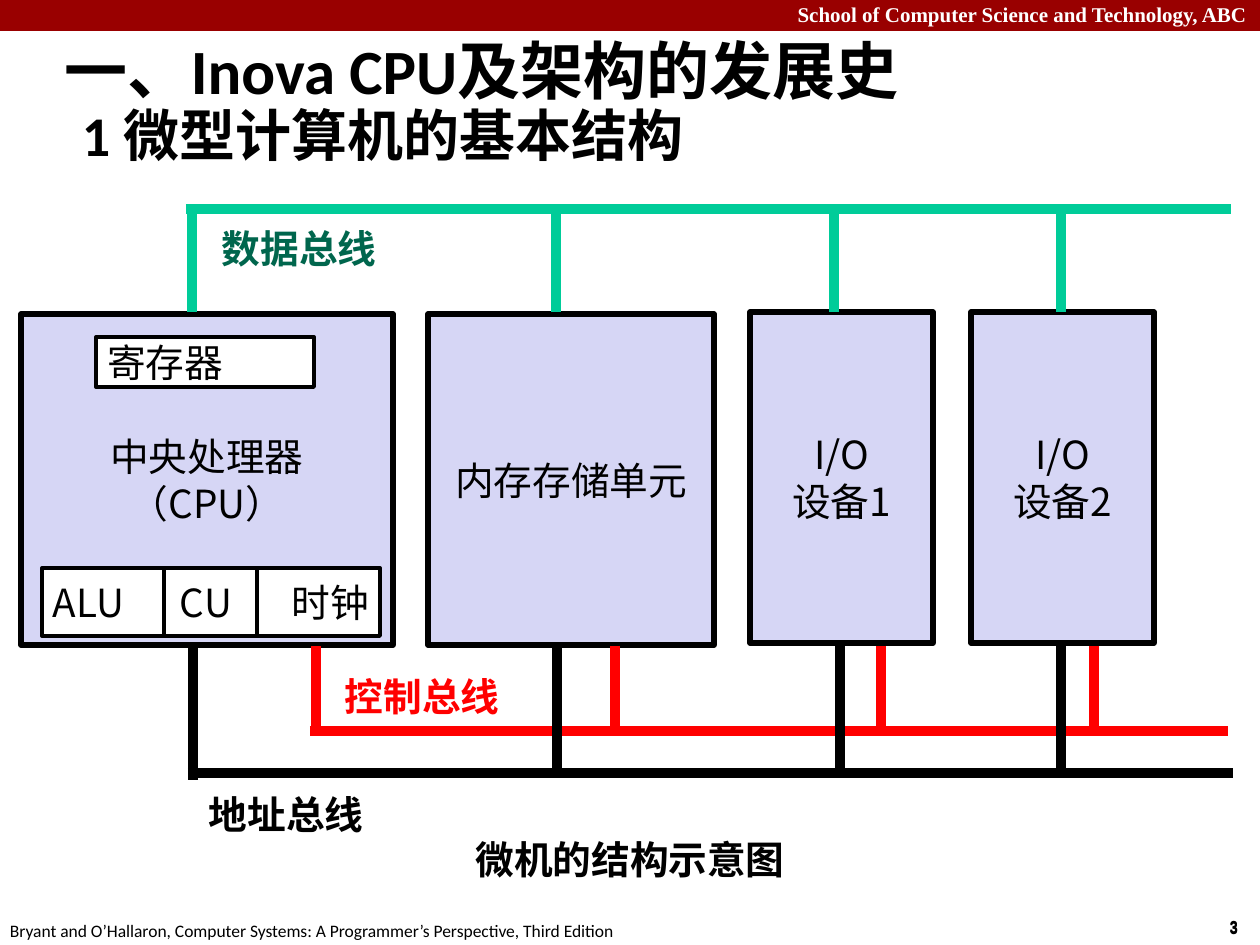
from pptx import Presentation
from pptx import util as u
from pptx.dml.color import RGBColor
from pptx.enum import shapes, text
from pptx.oxml.ns import qn
from lxml import etree

PX = 914400 / 126
COLORS = {
    "black": "000000", "white": "FFFFFF", "banner": "990000",
    "block": "D6D6F5", "data": "00CC99", "data_label": "00664D",
    "control": "FF0000",
}
CJK = "Noto Sans CJK SC"
ALIGN = text.PP_ALIGN
ANCHOR = text.MSO_ANCHOR


def px(length):
    return u.Emu(round(length * PX))


def rgb(name):
    return RGBColor.from_string(COLORS[name])


def write(shape, lines, size=22.1, font=CJK, color="black", bold=False,
          align=ALIGN.LEFT, anchor=ANCHOR.TOP, wrap=True,
          insets=(11, 5, 11, 5), spacing=None, tabs=()):
    """Put one paragraph per line into the shape."""
    frame = shape.text_frame
    frame.word_wrap = wrap
    frame.vertical_anchor = anchor
    (frame.margin_left, frame.margin_top,
     frame.margin_right, frame.margin_bottom) = map(px, insets)
    for index, line in enumerate(lines):
        paragraph = frame.add_paragraph() if index else frame.paragraphs[0]
        paragraph.alignment = align
        if spacing:
            paragraph.line_spacing = spacing
        if tabs:
            tab_list = etree.SubElement(paragraph._p.get_or_add_pPr(), qn("a:tabLst"))
            for stop in tabs:
                etree.SubElement(tab_list, qn("a:tab"), pos=str(px(stop)), algn="l")
        run = paragraph.add_run()
        run.text = line
        run.font.size = u.Pt(size)
        run.font.name = font
        run.font.bold = bold
        run.font.color.rgb = rgb(color)
        east_asian = etree.SubElement(run._r.get_or_add_rPr(), qn("a:ea"))
        east_asian.set("typeface", CJK)
    return frame


class Diagram:
    def __init__(self, slide):
        self.slide = slide

    def label(self, box, lines, **style):
        shape = self.slide.shapes.add_textbox(*map(px, box))
        return write(shape, lines, **style)

    def block(self, box, lines=(), fill="white", border=None, **style):
        shape = self.slide.shapes.add_shape(shapes.MSO_SHAPE.RECTANGLE, *map(px, box))
        shape.shadow.inherit = False
        shape.fill.solid()
        shape.fill.fore_color.rgb = rgb(fill)
        if border:
            shape.line.color.rgb = rgb("black")
            shape.line.width = u.Pt(border)
        else:
            shape.line.fill.background()
        if lines:
            write(shape, lines, **style)

    def line(self, x1, y1, x2, y2, color="black", width=6):
        connector = self.slide.shapes.add_connector(
            shapes.MSO_CONNECTOR.STRAIGHT, *map(px, (x1, y1, x2, y2)))
        connector.line.color.rgb = rgb(color)
        connector.line.width = u.Pt(width)
        etree.SubElement(connector._element.spPr, qn("a:effectLst"))

    def bus(self, color, left, right, y, drops, unit_y, first_end):
        """A horizontal bus with one drop to each unit."""
        self.line(left, y, right, y, color)
        for index, x in enumerate(drops):
            self.line(x, unit_y, x, y if index else first_end, color)


def main():
    presentation = Presentation()
    presentation.slide_width, presentation.slide_height = px(1260), px(945)
    slide = presentation.slides.add_slide(presentation.slide_layouts[6])
    diagram = Diagram(slide)

    # Banner and footer
    diagram.block((0, 0, 1260, 31), fill="banner")
    diagram.label((0, -4, 1260, 38), ["School of Computer Science and Technology, ABC"],
                  size=12, font="Times New Roman", color="white", bold=True,
                  align=ALIGN.RIGHT, insets=(13, 6, 13, 6))
    for top in (910, 911):
        diagram.label((1217, top, 43, 34), ["3"], size=10, font="Arial Narrow",
                      bold=True, wrap=False, insets=(13, 6, 13, 6))
    diagram.label((-3, 914, 640, 34),
                  ["Bryant and O’Hallaron, Computer Systems: "
                   "A Programmer’s Perspective, Third Edition"],
                  size=10, font="Calibri", wrap=False, insets=(13, 6, 13, 6))

    # Title
    title = diagram.label((52, 52, 1207, 104),
                          ["一、Inova CPU及架构的发展史", "1 微型计算机的基本结构"],
                          size=36, font="Calibri", bold=True, anchor=ANCHOR.MIDDLE,
                          spacing=0.9, insets=(13, 6, 13, 6))
    subtitle = title.paragraphs[1]
    subtitle.runs[0].font.size = u.Pt(32)
    subtitle._p.get_or_add_pPr().set("marL", str(px(17)))

    # Panel with caption
    diagram.block((0, 181, 1260, 720), ["微机的结构示意图"], bold=True,
                  align=ALIGN.CENTER, anchor=ANCHOR.BOTTOM, insets=(11, 5, 11, 19))

    # Units
    units = [
        (21, 314, 372, ["中央处理器", "（CPU）"]),
        (428, 314, 286, ["内存存储单元"]),
        (750, 312, 183, ["I/O", "设备1"]),
        (971, 312, 183, ["I/O", "设备2"]),
    ]
    for left, top, width, name in units:
        diagram.block((left, top, width, 331), name, fill="block", border=3,
                      align=ALIGN.CENTER, anchor=ANCHOR.MIDDLE)

    # Parts of the processor
    diagram.block((96, 337, 218, 50), ["寄存器"], border=2.25, anchor=ANCHOR.MIDDLE)
    diagram.block((42, 568, 338, 68), ["ALU\tCU\t时钟"], border=2.25,
                  anchor=ANCHOR.MIDDLE, insets=(11, 5, 0, 5), tabs=(127, 239))
    for x in (164, 257):
        diagram.line(x, 568, x, 636, width=2.25)

    # Buses
    diagram.bus("data", 186, 1231, 209, (192, 556, 834, 1061), 312, 206)
    diagram.bus("control", 310, 1228, 731, (316, 615, 881, 1094), 646, 734)
    diagram.bus("black", 188, 1233, 773, (193, 557, 840, 1061), 646, 780)

    # Bus names
    for box, name, color in [
        ((198, 786, 217, 57), "地址总线", "black"),
        ((334, 668, 190, 49), "控制总线", "control"),
        ((211, 220, 204, 53), "数据总线", "data_label"),
    ]:
        diagram.block(box, [name], color=color, bold=True)

    presentation.save("out.pptx")


if __name__ == "__main__":
    main()
